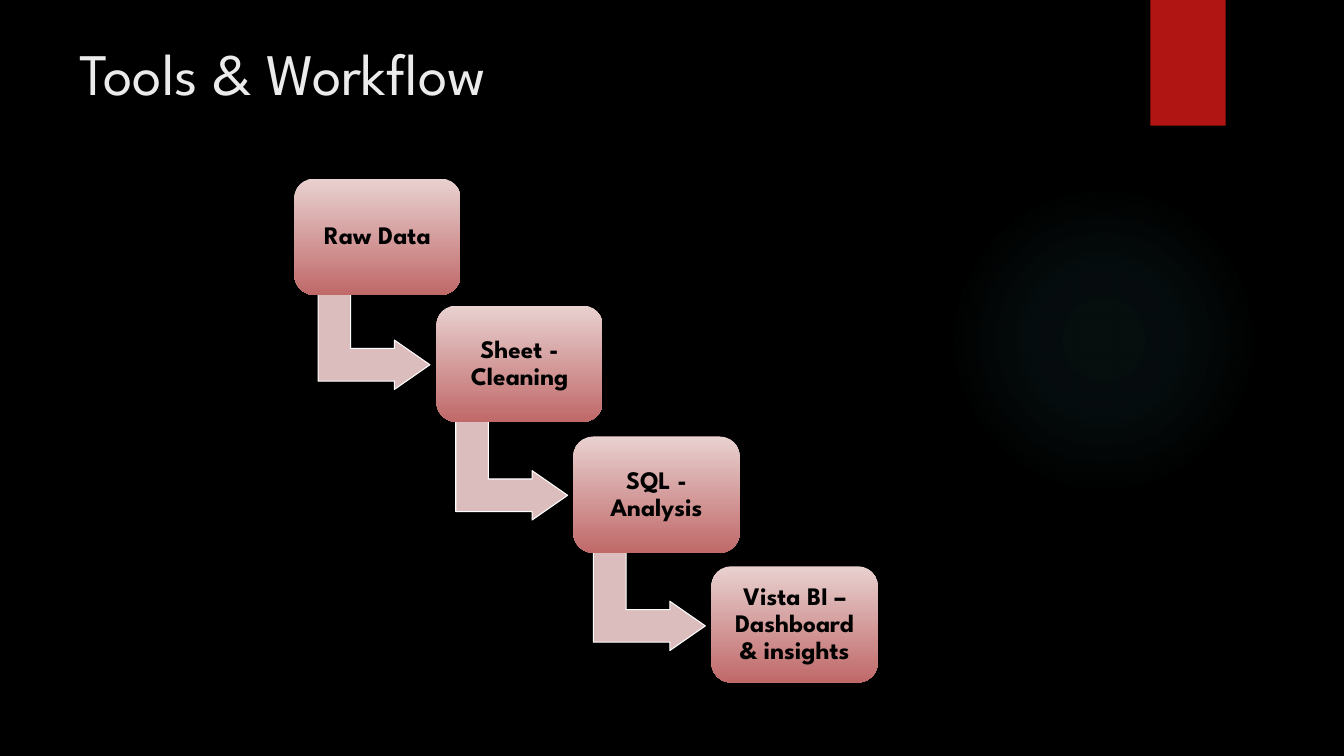
from dataclasses import dataclass

from pptx import Presentation
from pptx.dml.color import RGBColor
from pptx.enum.shapes import MSO_SHAPE as Preset
from pptx.enum.text import MSO_ANCHOR as Anchor, PP_ALIGN as Align
from pptx.oxml import parse_xml
from pptx.oxml.ns import nsdecls, qn
from pptx.shapes.autoshape import Shape
from pptx.slide import Slide
from pptx.util import Cm, Pt

BLACK = RGBColor(0x00, 0x00, 0x00)
WHITE = RGBColor(0xFF, 0xFF, 0xFF)
TITLE_GREY = RGBColor(0xEB, 0xEB, 0xEB)
RIBBON_RED = RGBColor(0xB0, 0x15, 0x13)
STEP_LIGHT = RGBColor(0xE8, 0xD1, 0xD0)
STEP_DARK = RGBColor(0xC0, 0x69, 0x69)
ARROW_PINK = RGBColor(0xDC, 0xBD, 0xBD)
GLOW_TEAL = RGBColor(0x50, 0xB9, 0xC1)
GLOW_STOPS = ((0, 7), (36, 6), (69, 0))

FONT = "League Spartan"
STEP_WIDTH, STEP_HEIGHT = 4.19, 2.93
STEP_INSET = Cm(0.33)
ARROW_LEFT, ARROW_TOP = 8.18, 7.16
ARROW_WIDTH, ARROW_HEIGHT = 2.49, 2.82
ARROW_PITCH_X, ARROW_PITCH_Y = 3.47, 3.29


@dataclass(frozen=True)
class Step:
    label: str
    left: float
    top: float


STEPS = (
    Step("Raw Data", 7.42, 4.5),
    Step("Sheet - Cleaning", 11, 7.7),
    Step("SQL - Analysis", 14.45, 11),
    Step("Vista BI – Dashboard & insights", 17.93, 14.27),
)


def add_plain_shape(slide: Slide, preset: Preset, left: float, top: float,
                    width: float, height: float) -> Shape:
    shape = slide.shapes.add_shape(preset, Cm(left), Cm(top), Cm(width), Cm(height))
    shape.shadow.inherit = False
    shape.line.fill.background()
    return shape


def add_glow(slide: Slide) -> None:
    glow = add_plain_shape(slide, Preset.OVAL, 23.9, 4.65, 7.82, 7.82)
    glow.fill.background()
    stops = "".join(
        f'<a:gs pos="{position * 1000}"><a:srgbClr val="{GLOW_TEAL}">'
        f'<a:alpha val="{opacity * 1000}"/></a:srgbClr></a:gs>'
        for position, opacity in GLOW_STOPS
    )
    radial = parse_xml(
        f'<a:gradFill {nsdecls("a")}><a:gsLst>{stops}</a:gsLst><a:path path="circle">'
        '<a:fillToRect l="50000" t="50000" r="50000" b="50000"/></a:path></a:gradFill>'
    )
    properties = glow.element.spPr
    properties.replace(properties.find(qn("a:noFill")), radial)


def add_ribbon(slide: Slide) -> None:
    ribbon = add_plain_shape(slide, Preset.RECTANGLE, 28.99, 0, 1.9, 3.17)
    ribbon.fill.solid()
    ribbon.fill.fore_color.rgb = RIBBON_RED


def add_title(slide: Slide, wording: str) -> None:
    frame = slide.shapes.add_textbox(Cm(1.75), Cm(0.79), Cm(26.14), Cm(3.89)).text_frame
    frame.word_wrap = True
    frame.text = wording
    font = frame.paragraphs[0].font
    font.name, font.size = FONT, Pt(42)
    font.color.rgb = TITLE_GREY


def add_arrow(slide: Slide, index: int) -> None:
    arrow = add_plain_shape(slide, Preset.BENT_UP_ARROW,
                            ARROW_LEFT + index * ARROW_PITCH_X,
                            ARROW_TOP + index * ARROW_PITCH_Y,
                            ARROW_WIDTH, ARROW_HEIGHT)
    arrow.rotation = 90
    for position, ratio in enumerate((0.33, 0.25, 0.36)):
        arrow.adjustments[position] = ratio
    arrow.fill.solid()
    arrow.fill.fore_color.rgb = ARROW_PINK
    arrow.line.color.rgb = WHITE
    arrow.line.width = Pt(0.75)


def add_step(slide: Slide, step: Step) -> None:
    box = add_plain_shape(slide, Preset.ROUNDED_RECTANGLE, step.left, step.top,
                          STEP_WIDTH, STEP_HEIGHT)
    box.adjustments[0] = 0.17
    box.fill.gradient()
    box.fill.gradient_angle = 270
    for stop, color in zip(box.fill.gradient_stops, (STEP_LIGHT, STEP_DARK)):
        stop.color.rgb = color
    frame = box.text_frame
    frame.word_wrap = True
    frame.vertical_anchor = Anchor.MIDDLE
    frame.margin_left = frame.margin_right = STEP_INSET
    frame.margin_top = frame.margin_bottom = STEP_INSET
    frame.text = step.label
    label = frame.paragraphs[0]
    label.alignment = Align.CENTER
    label.line_spacing = 0.9
    label.font.name, label.font.size, label.font.bold = FONT, Pt(18), True
    label.font.color.rgb = BLACK


def main() -> None:
    deck = Presentation()
    deck.slide_width, deck.slide_height = Cm(33.87), Cm(19.05)
    slide = deck.slides.add_slide(deck.slide_layouts[6])
    slide.background.fill.solid()
    slide.background.fill.fore_color.rgb = BLACK
    add_glow(slide)
    add_ribbon(slide)
    add_title(slide, "Tools & Workflow")
    for index, step in enumerate(STEPS):
        if index < len(STEPS) - 1:
            add_arrow(slide, index)
        add_step(slide, step)
    deck.save("out.pptx")


if __name__ == "__main__":
    main()
